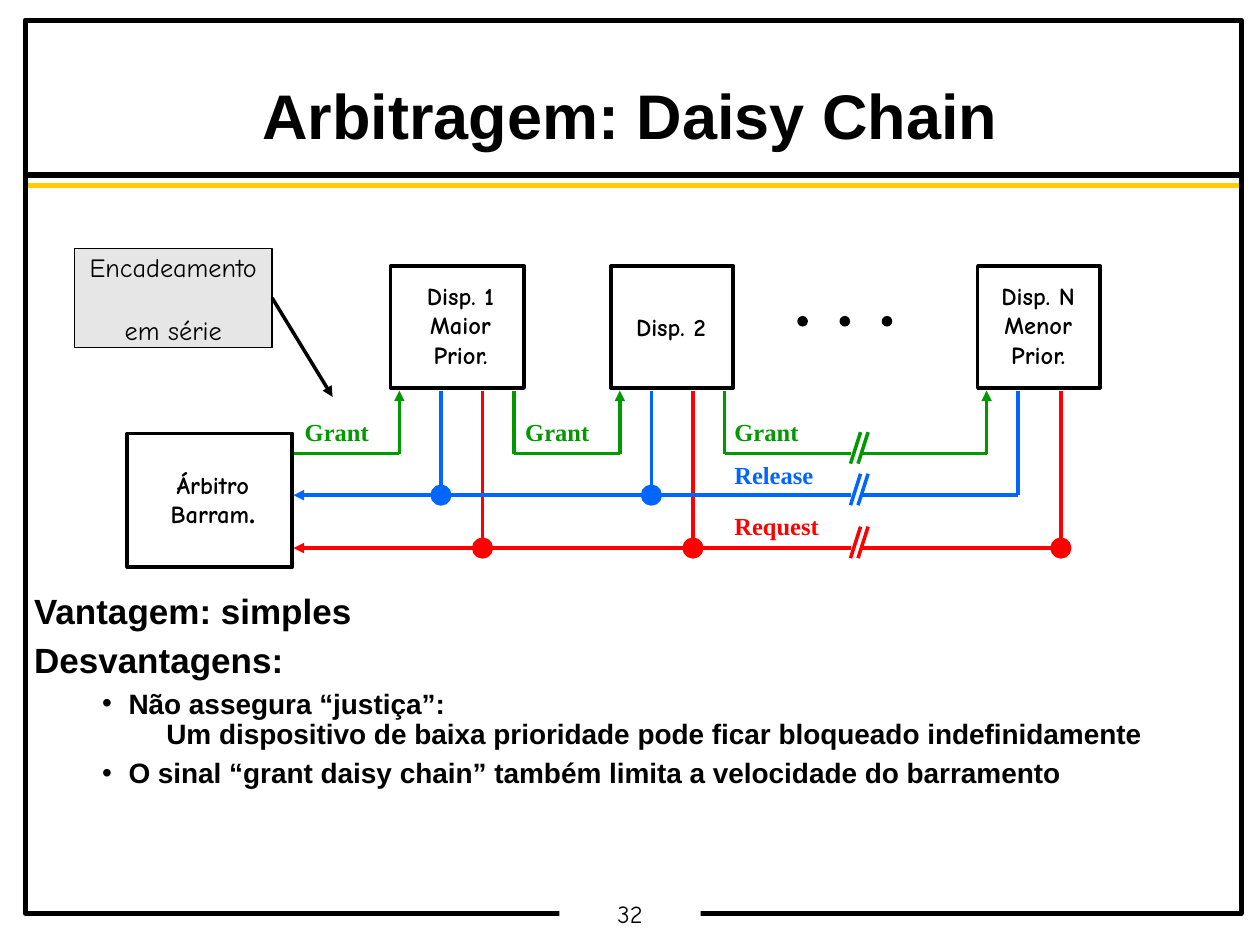
from typing import NamedTuple

from lxml import etree
from pptx import Presentation
from pptx.dml.color import RGBColor
from pptx.enum.shapes import MSO_CONNECTOR, MSO_SHAPE
from pptx.enum.text import MSO_ANCHOR, MSO_AUTO_SIZE, PP_ALIGN
from pptx.oxml.ns import qn
from pptx.util import Inches, Pt

RECTANGLE, OVAL = MSO_SHAPE.RECTANGLE, MSO_SHAPE.OVAL
STRAIGHT = MSO_CONNECTOR.STRAIGHT
LEFT, CENTER = PP_ALIGN.LEFT, PP_ALIGN.CENTER
TOP, MIDDLE = MSO_ANCHOR.TOP, MSO_ANCHOR.MIDDLE
RIGHT_SIDE = 3

BLACK, WHITE, YELLOW, GRAY = "000000", "FFFFFF", "FFCC00", "E6E6E6"
GREEN, BLUE, RED = "009900", "0066FF", "FF0000"
SANS, HAND, SERIF = "Arial", "Comic Neue", "Times New Roman"

DEVICE_BOTTOM = 3.1
BUS_START = 2.33
BREAK_LEFT, BREAK_RIGHT = 6.75, 6.83
GRANT_Y = 3.6


class Box(NamedTuple):
    left: float
    top: float
    width: float
    height: float


class Unit(NamedTuple):
    outline: Box
    label_box: Box
    lines: list[list[tuple[str, str]]]  # per line: (text, font) runs
    wrap: bool = True


class Bus(NamedTuple):
    color: str
    y: float
    drops: list[float]
    joints: list[float]


class SignalName(NamedTuple):
    text: str
    color: str
    box: Box


class BodyLine(NamedTuple):
    text: str
    size: int
    level: int
    margin: float
    indent: float
    space_before: float
    bullet: str = ""


UNITS = [
    Unit(Box(1.01, 3.44, 1.31, 1.06), Box(1.25, 3.68, 0.88, 0.56),
         [[("Árbitro", HAND)], [("Barram", HAND), (".", SERIF)]], wrap=False),
    Unit(Box(3.1, 2.11, 1.06, 0.97), Box(3.15, 2.18, 1.01, 0.8),
         [[("Disp. 1", HAND)], [("Maior", HAND)], [("Prior.", HAND)]]),
    Unit(Box(4.85, 2.11, 0.97, 0.97), Box(4.82, 2.43, 1.01, 0.33),
         [[("Disp. 2", HAND)]]),
    Unit(Box(7.76, 2.11, 0.97, 0.97), Box(7.65, 2.18, 1.18, 0.8),
         [[("Disp. N", HAND)], [("Menor", HAND)], [("Prior.", HAND)]]),
]
BUSES = [
    Bus(RED, 4.35, drops=[3.83, 5.5, 8.42], joints=[3.83, 5.5, 8.42]),
    Bus(BLUE, 3.93, drops=[3.5, 5.17, 8.08], joints=[3.5, 5.17]),
]
GRANT_INPUTS = [3.17, 4.92, 7.83]
GRANT_OUTPUTS = [4.08, 5.75]
GRANT_SEGMENTS = [(BUS_START, 3.17), (4.08, 4.92), (5.75, BREAK_LEFT), (BREAK_RIGHT, 7.83)]
SIGNAL_NAMES = [
    *(SignalName("Grant", GREEN, Box(x, 3.26, 0.71, 0.33)) for x in (2.32, 4.07, 5.73)),
    SignalName("Release", BLUE, Box(5.73, 3.6, 0.83, 0.33)),
    SignalName("Request", RED, Box(5.73, 4.01, 0.87, 0.33)),
]
BODY = [
    BodyLine("Vantagem: simples", 20, 0, 0.22, -0.22, 0),
    BodyLine("Desvantagens:", 20, 0, 0.22, -0.22, 6.2),
    BodyLine("Não assegura “justiça”:", 16, 1, 0.75, -0.21, 5, "•"),
    BodyLine("Um dispositivo de baixa prioridade pode ficar bloqueado indefinidamente",
             16, 1, 1.05, 0, 0),
    BodyLine("O sinal “grant daisy chain” também limita a velocidade do barramento",
             16, 1, 0.75, -0.21, 5, "•"),
]


def rgb(color: str) -> RGBColor:
    return RGBColor.from_string(color)


def inches(box: Box) -> list[int]:
    return [Inches(value) for value in box]


def add_run(paragraph, text: str, font: str, size: float, color: str, bold: bool = False) -> None:
    run = paragraph.add_run()
    run.text = text
    run.font.name, run.font.size, run.font.bold = font, Pt(size), bold
    run.font.color.rgb = rgb(color)


def set_frame(frame, side: float, edge: float, wrap: bool, anchor=TOP) -> None:
    """Set the insets (left/right, top/bottom), wrapping and anchor of a text frame."""
    frame.auto_size = MSO_AUTO_SIZE.NONE
    frame.word_wrap = wrap
    frame.vertical_anchor = anchor
    frame.margin_left = frame.margin_right = Inches(side)
    frame.margin_top = frame.margin_bottom = Inches(edge)


def add_preset(shapes, kind, box: Box, fill: str = "", line: str = "", width: float = 2):
    shape = shapes.add_shape(kind, *inches(box))
    shape.shadow.inherit = False
    if fill:
        shape.fill.solid()
        shape.fill.fore_color.rgb = rgb(fill)
    else:
        shape.fill.background()
    if line:
        shape.line.color.rgb = rgb(line)
        shape.line.width = Pt(width)
    else:
        shape.line.fill.background()
    return shape


def add_dot(shapes, x: float, y: float, diameter: float, color: str, width: float) -> None:
    box = Box(x - diameter / 2, y - diameter / 2, diameter, diameter)
    add_preset(shapes, OVAL, box, color, color, width)


def add_line(shapes, x1: float, y1: float, x2: float, y2: float, color: str,
             width: float = 2, arrow: bool = False):
    line = shapes.add_connector(STRAIGHT, Inches(x1), Inches(y1), Inches(x2), Inches(y2))
    line.line.color.rgb = rgb(color)
    line.line.width = Pt(width)
    if arrow:
        etree.SubElement(line.line._get_or_add_ln(), qn("a:tailEnd"), type="triangle")
    etree.SubElement(line._element.spPr, qn("a:effectLst"))
    return line


def add_label(shapes, box: Box, lines: list[list[tuple[str, str]]], color: str,
              align=LEFT, wrap: bool = False) -> None:
    frame = shapes.add_textbox(*inches(box)).text_frame
    set_frame(frame, 0.1, 0.05, wrap)
    for index, runs in enumerate(lines):
        paragraph = frame.add_paragraph() if index else frame.paragraphs[0]
        paragraph.alignment = align
        for text, font in runs:
            add_run(paragraph, text, font, 14, color, bold=True)


def add_break(shapes, y: float, color: str) -> None:
    """Draw the two slanted strokes that interrupt a long line."""
    for x in (BREAK_LEFT, BREAK_LEFT + 0.06):
        add_line(shapes, x, y + 0.08, x + 0.08, y - 0.17, color)


def add_bus(shapes, bus: Bus) -> None:
    add_line(shapes, BREAK_LEFT, bus.y, BUS_START, bus.y, bus.color, arrow=True)
    add_line(shapes, BREAK_RIGHT, bus.y, bus.drops[-1], bus.y, bus.color)
    add_break(shapes, bus.y, bus.color)
    for x in bus.drops:
        add_line(shapes, x, DEVICE_BOTTOM, x, bus.y, bus.color)
    for x in bus.joints:
        add_dot(shapes, x, bus.y, 0.14, bus.color, 2)


def add_grant_chain(shapes) -> None:
    for start, end in GRANT_SEGMENTS:
        add_line(shapes, start, GRANT_Y, end, GRANT_Y, GREEN)
    for x in GRANT_INPUTS + GRANT_OUTPUTS:
        add_line(shapes, x, GRANT_Y, x, DEVICE_BOTTOM, GREEN, arrow=x in GRANT_INPUTS)
    add_break(shapes, GRANT_Y, GREEN)


def add_page_frame(shapes) -> None:
    for y, color in ((1.39, BLACK), (1.47, YELLOW)):
        add_line(shapes, 0.2, y, 9.84, y, color, width=3)
    add_preset(shapes, RECTANGLE, Box(0.2, 0.16, 9.65, 7.09), line=BLACK, width=2.83)
    number = add_preset(shapes, RECTANGLE, Box(4.44, 7.13, 1.12, 0.27), fill=WHITE)
    set_frame(number.text_frame, 0.07, 0.03, wrap=False)
    paragraph = number.text_frame.paragraphs[0]
    paragraph.alignment = CENTER
    paragraph.line_spacing = 0.9
    add_run(paragraph, "32", HAND, 14, BLACK)


def fill_title(title) -> None:
    title.left, title.top, title.width, title.height = inches(Box(1.95, 0.62, 6.1, 0.63))
    set_frame(title.text_frame, 0.07, 0.03, wrap=True, anchor=MIDDLE)
    paragraph = title.text_frame.paragraphs[0]
    paragraph.alignment = CENTER
    paragraph.line_spacing = 0.95
    add_run(paragraph, "Arbitragem: Daisy Chain", SANS, 36, BLACK, bold=True)


def fill_body(body) -> None:
    body.left, body.top, body.width, body.height = inches(Box(0.2, 4.69, 9.53, 1.6))
    set_frame(body.text_frame, 0.07, 0.03, wrap=True)
    for index, line in enumerate(BODY):
        paragraph = body.text_frame.add_paragraph() if index else body.text_frame.paragraphs[0]
        paragraph.level = line.level
        properties = paragraph._p.get_or_add_pPr()
        properties.set("marL", str(Inches(line.margin)))
        properties.set("indent", str(Inches(line.indent)))
        if line.bullet:
            etree.SubElement(properties, qn("a:buChar"), char=line.bullet)
        else:
            etree.SubElement(properties, qn("a:buNone"))
        paragraph.line_spacing = 0.9
        paragraph.space_before = Pt(line.space_before)
        add_run(paragraph, line.text, SANS, line.size, BLACK, bold=True)


def add_note(shapes) -> None:
    note = add_preset(shapes, RECTANGLE, Box(0.59, 1.97, 1.57, 0.79), GRAY, BLACK, 0)
    set_frame(note.text_frame, 0.1, 0.05, wrap=True, anchor=MIDDLE)
    first, second = note.text_frame.paragraphs[0], note.text_frame.add_paragraph()
    second.space_before = Pt(18)
    for paragraph, text in ((first, "Encadeamento"), (second, "em série")):
        paragraph.alignment = CENTER
        add_run(paragraph, text, HAND, 15, BLACK)
    pointer = add_line(shapes, 2.16, 2.36, 2.64, 3.15, BLACK, 0, arrow=True)
    pointer.begin_connect(note, RIGHT_SIDE)


def main() -> None:
    deck = Presentation()
    deck.slide_width, deck.slide_height = Inches(10), Inches(7.5)
    slide = deck.slides.add_slide(deck.slide_layouts[1])
    shapes = slide.shapes
    add_page_frame(shapes)
    fill_title(shapes.title)
    fill_body(slide.placeholders[1])
    for unit in UNITS:
        add_preset(shapes, RECTANGLE, unit.outline, line=BLACK)
        add_label(shapes, unit.label_box, unit.lines, BLACK, CENTER, unit.wrap)
    for index in range(3):
        add_dot(shapes, 6.37 + index * 0.335, 2.55, 0.07, BLACK, 1)
    add_grant_chain(shapes)
    for bus in BUSES:
        add_bus(shapes, bus)
    for name in SIGNAL_NAMES:
        add_label(shapes, name.box, [[(name.text, SERIF)]], name.color)
    add_note(shapes)
    deck.save("out.pptx")


if __name__ == "__main__":
    main()
